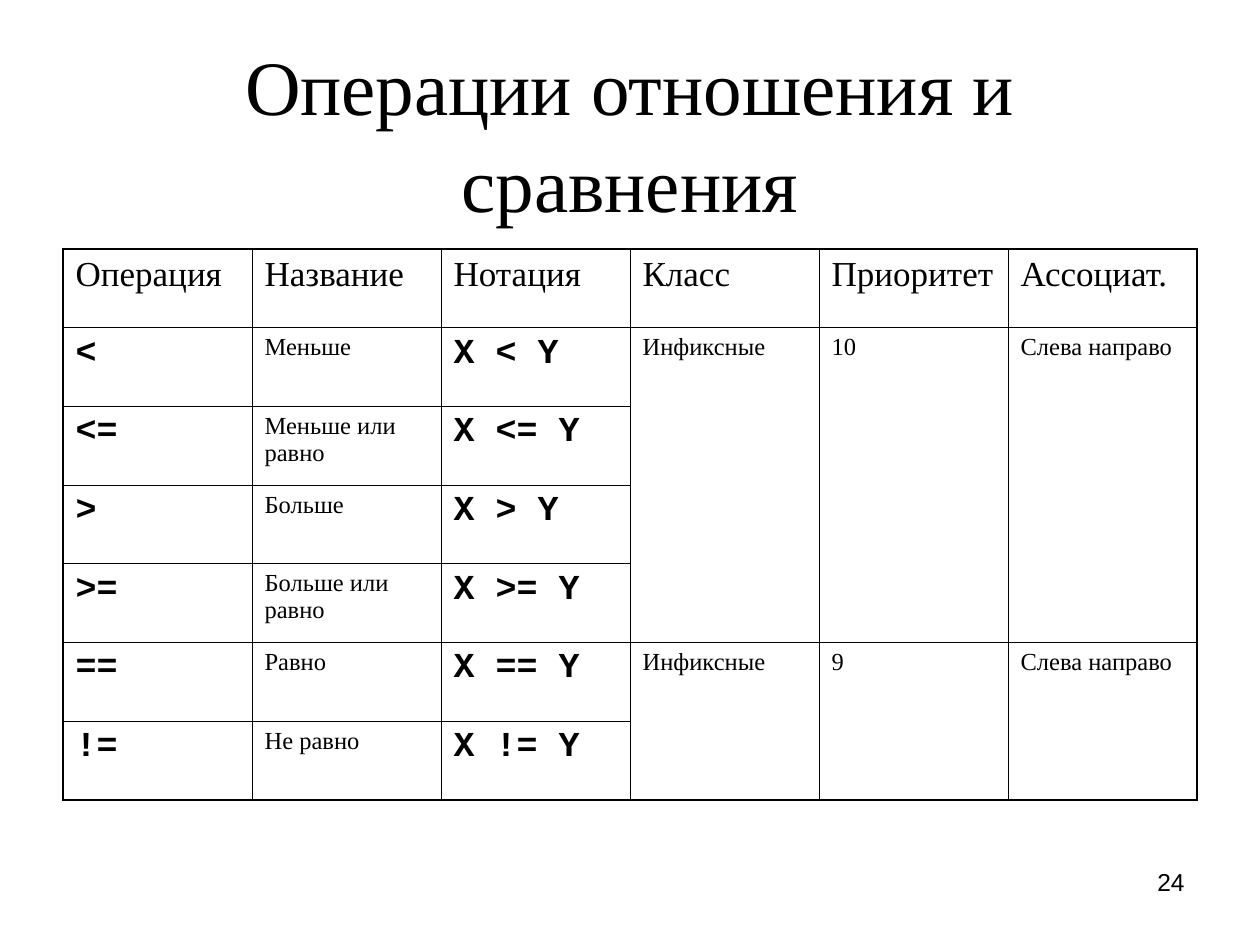
from dataclasses import dataclass

from lxml import etree
from pptx import Presentation
from pptx.dml.color import RGBColor
from pptx.enum.text import MSO_ANCHOR, PP_ALIGN
from pptx.oxml.ns import qn
from pptx.util import Pt

CENTER, LEFT, RIGHT = PP_ALIGN.CENTER, PP_ALIGN.LEFT, PP_ALIGN.RIGHT
TOP, MIDDLE = MSO_ANCHOR.TOP, MSO_ANCHOR.MIDDLE
PX_PER_INCH = 126
PLAIN_TABLE_STYLE = "{2D5ABB26-0587-4C30-8999-92F81FD0307C}"


@dataclass(frozen=True)
class Theme:
    ink: str = "000000"
    paper: str = "FFFFFF"
    serif: str = "Times New Roman"
    mono: str = "Courier New"
    sans: str = "Arial"
    title_size: int = 44
    large_size: int = 20
    small_size: int = 14
    outer_line: float = 1.08
    inner_line: float = 0.45


THEME = Theme()
HEADERS = ["Операция", "Название", "Нотация", "Класс", "Приоритет", "Ассоциат."]
# Each group shares one class, priority and associativity.
GROUPS = [
    (["Инфиксные", "10", "Слева направо"],
     [("<", "Меньше"), ("<=", "Меньше или равно"),
      (">", "Больше"), (">=", "Больше или равно")]),
    (["Инфиксные", "9", "Слева направо"],
     [("==", "Равно"), ("!=", "Не равно")]),
]


def px(length):
    return round(length * 914400 / PX_PER_INCH)


def write(frame, text, font, size, bold=False, align=LEFT):
    para = frame.paragraphs[0]
    para.alignment = align
    span = para.add_run()
    span.text = text
    span.font.name = font
    span.font.size = Pt(size)
    span.font.bold = bold
    span.font.color.rgb = RGBColor.from_string(THEME.ink)
    return para


def add_text_box(page, box, anchor=TOP):
    frame = page.shapes.add_textbox(*map(px, box)).text_frame
    frame.word_wrap = True
    frame.vertical_anchor = anchor
    return frame


def add_title(page, box, text):
    frame = add_text_box(page, box, MIDDLE)
    para = write(frame, text, THEME.serif, THEME.title_size, align=CENTER)
    para.line_spacing = 1.05


def add_page_number(page, box, number):
    write(add_text_box(page, box), number, THEME.sans, THEME.small_size, align=RIGHT)


def set_borders(cell, widths):
    """Draw the cell sides named in widths: L, R, T, B, in that order."""
    properties = cell._tc.get_or_add_tcPr()
    for side, width in widths.items():
        line = etree.SubElement(properties, qn(f"a:ln{side}"), w=str(Pt(width)))
        fill = etree.SubElement(line, qn("a:solidFill"))
        etree.SubElement(fill, qn("a:srgbClr"), val=THEME.ink)


def style_grid(table):
    """Rule and fill all cells, leaving no lines inside merged ones."""
    last_row, last_column = len(table.rows) - 1, len(table.columns) - 1
    for row in range(last_row + 1):
        for column in range(last_column + 1):
            cell = table.cell(row, column)
            bottom = row + cell.span_height - 1 if cell.is_merge_origin else row
            at_edge = {"L": column == 0, "R": column == last_column,
                       "T": row == 0, "B": bottom == last_row}
            if cell.is_spanned:
                del at_edge["T"]
                if row < last_row and table.cell(row + 1, column).is_spanned:
                    del at_edge["B"]
            set_borders(cell, {side: THEME.outer_line if outer else THEME.inner_line
                               for side, outer in at_edge.items()})
            cell.fill.solid()
            cell.fill.fore_color.rgb = RGBColor.from_string(THEME.paper)


def add_operations_table(page, box):
    row_count = 1 + sum(len(operations) for _, operations in GROUPS)
    frame = page.shapes.add_table(row_count, len(HEADERS), *map(px, box))
    table = frame.table
    table.first_row = table.horz_banding = False
    frame._element.find(".//" + qn("a:tableStyleId")).text = PLAIN_TABLE_STYLE
    for column in table.columns:
        column.width = px(box[2] / len(HEADERS))
    for row in table.rows:
        row.height = px(box[3] / row_count)

    def fill_cell(row, column, text, font=THEME.serif, size=THEME.small_size, bold=False):
        write(table.cell(row, column).text_frame, text, font, size, bold)

    for column, header in enumerate(HEADERS):
        fill_cell(0, column, header, size=THEME.large_size)
    first = 1
    for shared, operations in GROUPS:
        for row, (symbol, name) in enumerate(operations, first):
            fill_cell(row, 0, symbol, THEME.mono, THEME.large_size, True)
            fill_cell(row, 1, name)
            fill_cell(row, 2, f"X {symbol} Y", THEME.mono, THEME.large_size, True)
        for column, text in enumerate(shared, 3):
            last = first + len(operations) - 1
            table.cell(first, column).merge(table.cell(last, column))
            fill_cell(first, column, text)
        first += len(operations)
    style_grid(table)


def main():
    deck = Presentation()
    deck.slide_width, deck.slide_height = px(1260), px(945)
    page = deck.slides.add_slide(deck.slide_layouts[6])
    add_title(page, (63, 38, 1134, 186), "Операции отношения и сравнения")
    add_operations_table(page, (63, 249, 1134, 551))
    add_page_number(page, (903, 861, 294, 66), "24")
    deck.save("out.pptx")


if __name__ == "__main__":
    main()
